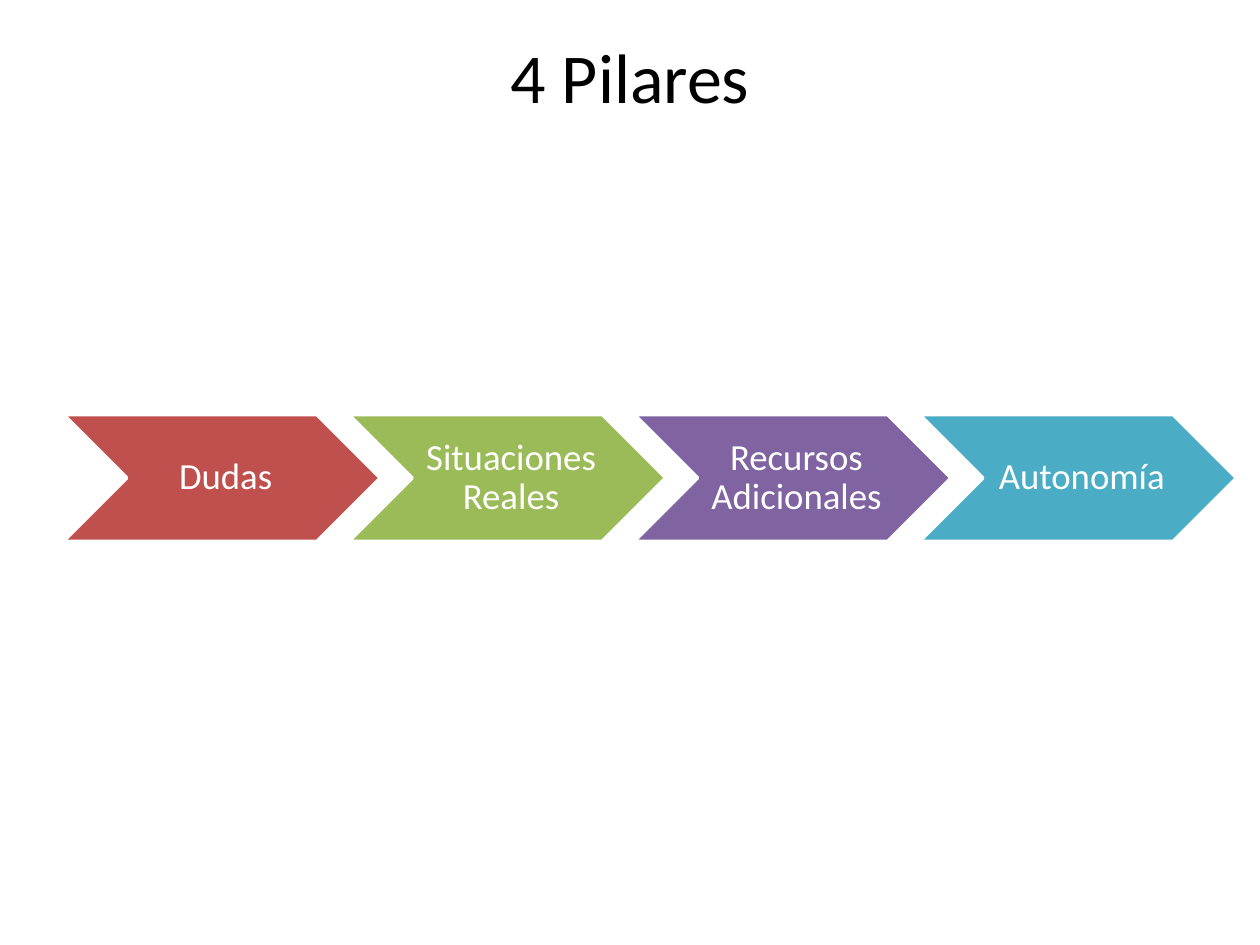
"""Build the "4 Pilares" slide: a title above a row of four chevrons."""
import dataclasses
import pptx
import pptx.dml.color
import pptx.enum.shapes
import pptx.enum.text
import pptx.util

Pt = pptx.util.Pt
ALIGN = pptx.enum.text.PP_ALIGN
ANCHOR = pptx.enum.text.MSO_ANCHOR
CHEVRON = pptx.enum.shapes.MSO_SHAPE.CHEVRON

LEFT, TOP = 36.2, 236.9
WIDTH, HEIGHT = 181.2, 72.5
STEP = WIDTH * 0.9
FRAME = {
    "word_wrap": True,
    "vertical_anchor": ANCHOR.MIDDLE,
}
INSETS = {
    "margin_left": Pt(6.6),
    "margin_top": Pt(2.2),
    "margin_right": Pt(2.2),
    "margin_bottom": Pt(2.2),
}


@dataclasses.dataclass
class Pillar:
    label: str
    fill: str


PILLARS = [
    Pillar("Dudas", "C0504D"),
    Pillar("Situaciones Reales", "9BBB59"),
    Pillar("Recursos Adicionales", "8064A2"),
    Pillar("Autonomía", "4BACC6"),
]


def paint(target, code: str) -> None:
    target.rgb = pptx.dml.color.RGBColor.from_string(code)


def apply(target, values: dict) -> None:
    for name, value in values.items():
        setattr(target, name, value)


def write(shape, text: str, size: float, color: str, frame: dict, para: dict) -> None:
    body = shape.text_frame
    apply(body, FRAME | frame)
    line = body.paragraphs[0]
    apply(line, {"text": text, "alignment": ALIGN.CENTER} | para)
    font = line.runs[0].font
    apply(font, {"name": "Calibri", "size": Pt(size)})
    paint(font.color, color)


def draw(slide, pillar: Pillar, left: float) -> None:
    shape = slide.shapes.add_shape(CHEVRON, Pt(left), Pt(TOP), Pt(WIDTH), Pt(HEIGHT))
    shape.shadow.inherit = False
    shape.fill.solid()
    paint(shape.fill.fore_color, pillar.fill)
    shape.line.width = Pt(2)
    paint(shape.line.color, "FFFFFF")
    write(shape, pillar.label, 21, "FFFFFF", INSETS, {"line_spacing": 0.9})


def main() -> None:
    deck = pptx.Presentation()
    apply(deck, {"slide_width": Pt(720), "slide_height": Pt(540)})
    slide = deck.slides.add_slide(deck.slide_layouts[6])
    title = slide.shapes.add_textbox(Pt(36), Pt(7.2), Pt(648), Pt(72))
    write(title, "4 Pilares", 40, "000000", {}, {})
    for index, pillar in enumerate(PILLARS):
        draw(slide, pillar, LEFT + index * STEP)
    deck.save("out.pptx")


if __name__ == "__main__":
    main()
